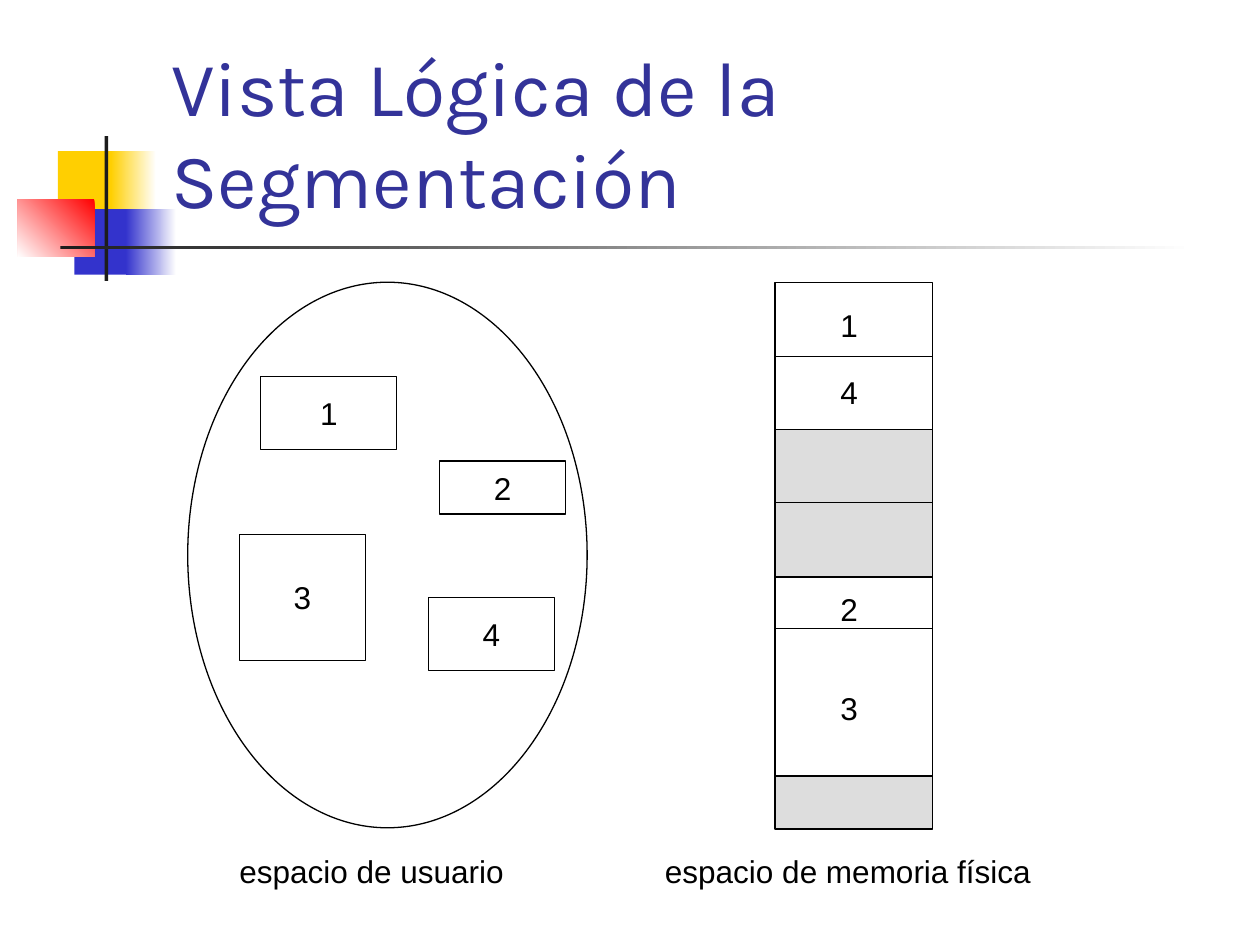
from itertools import accumulate

from lxml.etree import SubElement
from pptx import Presentation
from pptx.dml.color import RGBColor
from pptx.enum.shapes import MSO_CONNECTOR, MSO_SHAPE
from pptx.enum.text import MSO_ANCHOR, MSO_AUTO_SIZE, PP_ALIGN
from pptx.oxml.ns import qn
from pptx.util import Inches, Pt

TITLE = "Vista Lógica de la Segmentación"
BLACK, WHITE, GREY = "000000", "FFFFFF", "DDDDDD"
YELLOW, BLUE, RED, DARK = "FFCF01", "3333CC", "FF0000", "1C1C1C"

DECORATION = [
    ((0.46, 1.2, 0.48, 0.52), YELLOW, None),
    ((0.88, 1.2, 0.36, 0.52), YELLOW, 0),
    ((0.59, 1.66, 0.46, 0.52), BLUE, None),
    ((1, 1.66, 0.4, 0.52), BLUE, 0),
    ((0.14, 1.58, 0.61, 0.46), RED, 225),
    ((0.83, 1.08, 0.03, 1.15), DARK, None),
    ((0.48, 1.95, 9, 0.03), DARK, 0),
]
USER_SPACE = (1.49, 2.24, 3.17, 4.33)
USER_SEGMENTS = [
    ("1", (2.07, 2.99, 1.08, 0.58)),
    ("3", (1.9, 4.24, 1, 1)),
    ("2", (3.49, 3.66, 1, 0.42)),
    ("4", (3.4, 4.74, 1, 0.58)),
]
MEMORY_LEFT, MEMORY_TOP, MEMORY_WIDTH = 6.15, 2.24, 1.25
MEMORY_BLOCKS = [(1.17, WHITE), (1.17, GREY), (1.58, WHITE), (0.42, GREY)]
MEMORY_DIVIDERS = [2.83, 3.99, 4.99]
LABELS = [
    ("1", (6.57, 2.38, 0.34, 0.4)),
    ("4", (6.57, 2.91, 0.34, 0.4)),
    ("2", (6.57, 4.63, 0.34, 0.4)),
    ("3", (6.57, 5.42, 0.34, 0.4)),
    ("espacio de usuario", (1.8, 6.71, 2.3, 0.4)),
    ("espacio de memoria física", (5.18, 6.71, 3.1, 0.4)),
]


def color(value):
    return RGBColor.from_string(value)


def inches(values):
    return [Inches(value) for value in values]


def write(shape, text, font="Arial", size=18, ink=BLACK,
          align=PP_ALIGN.CENTER, anchor=MSO_ANCHOR.MIDDLE, wrap=False):
    frame = shape.text_frame
    frame.word_wrap = wrap
    frame.auto_size = MSO_AUTO_SIZE.NONE
    frame.vertical_anchor = anchor
    para = frame.paragraphs[0]
    para.alignment = align
    span = para.add_run()
    span.text = text
    span.font.name = font
    span.font.size = Pt(size)
    span.font.color.rgb = color(ink)


def add_shape(page, bounds, fill, kind=MSO_SHAPE.RECTANGLE, outlined=True):
    shape = page.shapes.add_shape(kind, *inches(bounds))
    shape.shadow.inherit = False
    shape.fill.solid()
    shape.fill.fore_color.rgb = color(fill)
    if outlined:
        shape.line.color.rgb = color(BLACK)
        shape.line.width = Pt(0.75)
    else:
        shape.line.fill.background()
    return shape


def add_decoration(page):
    for bounds, fill, angle in DECORATION:
        shape = add_shape(page, bounds, fill, outlined=False)
        if angle is not None:
            shape.fill.gradient()
            shape.fill.gradient_angle = angle
            for stop, shade in zip(shape.fill.gradient_stops, (fill, WHITE)):
                stop.color.rgb = color(shade)


def add_memory(page):
    heights = [height for height, _ in MEMORY_BLOCKS]
    tops = accumulate(heights, initial=MEMORY_TOP)
    for top, (height, fill) in zip(tops, MEMORY_BLOCKS):
        add_shape(page, (MEMORY_LEFT, top, MEMORY_WIDTH, height), fill)
    right = MEMORY_LEFT + MEMORY_WIDTH
    for y in MEMORY_DIVIDERS:
        divider = page.shapes.add_connector(
            MSO_CONNECTOR.STRAIGHT, *inches((MEMORY_LEFT, y, right, y)))
        divider.line.color.rgb = color(BLACK)
        divider.line.width = Pt(0.75)
        SubElement(divider.element.spPr, qn("a:effectLst"))


def main():
    deck = Presentation()
    deck.slide_width, deck.slide_height = Inches(10), Inches(7.5)
    page = deck.slides.add_slide(deck.slide_layouts[5])

    title = page.shapes.title
    title.left, title.top, title.width, title.height = inches((1.26, 0.23, 8.52, 1.6))
    write(title, TITLE, "Karla", 44, "333399", PP_ALIGN.LEFT, MSO_ANCHOR.BOTTOM, True)

    add_decoration(page)
    add_shape(page, USER_SPACE, WHITE, MSO_SHAPE.OVAL)
    for text, bounds in USER_SEGMENTS:
        write(add_shape(page, bounds, WHITE), text)
    add_memory(page)
    for text, bounds in LABELS:
        write(page.shapes.add_textbox(*inches(bounds)), text)

    deck.save("out.pptx")


if __name__ == "__main__":
    main()
